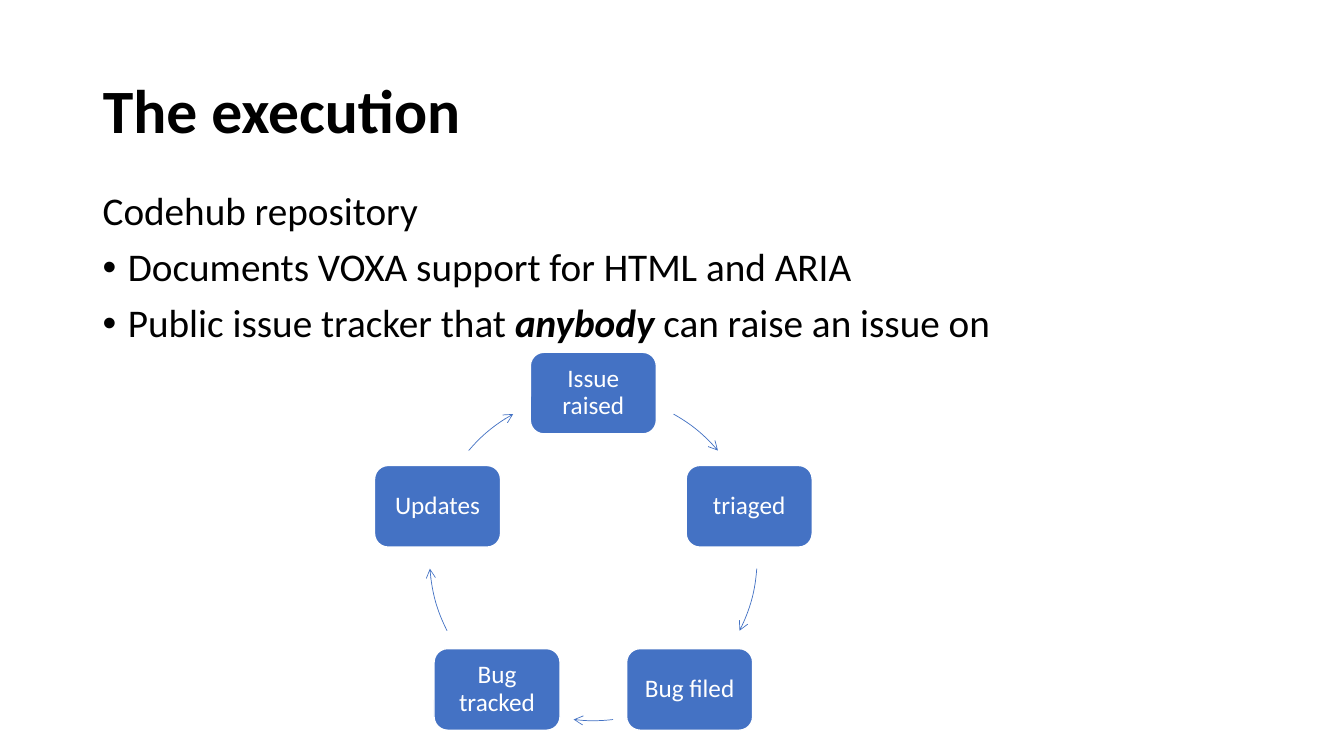
import math

import pptx
import pptx.dml.color
import pptx.enum.shapes
import pptx.enum.text
import pptx.oxml
import pptx.oxml.ns
import pptx.util
from pptx.util import Inches

BLACK = pptx.dml.color.RGBColor(0x00, 0x00, 0x00)
WHITE = pptx.dml.color.RGBColor(0xFF, 0xFF, 0xFF)
BLUE = pptx.dml.color.RGBColor(0x44, 0x72, 0xC4)
FONT = "Calibri"
NAMESPACE = pptx.oxml.ns.nsdecls("a")

STAGES = ["Issue raised", "triaged", "Bug filed", "Bug tracked", "Updates"]
ARROW_SPANS = [(29.3, 49.5), (94.1, 116.8), (173.1, 186.9), (243.2, 265.9), (310.5, 330.7)]
POINTS = [
    (False, [("Codehub repository", False)]),
    (True, [("Documents VOXA support for HTML and ARIA", False)]),
    (True, [("Public issue tracker that ", False), ("anybody ", True), ("can raise an issue on", False)]),
]


def style_paragraph(para, size, color, align, bold=None):
    """Set the alignment, line spacing and font of a paragraph."""
    para.alignment = align
    para.line_spacing = 0.9
    para.font.name = FONT
    para.font.size = pptx.util.Pt(size)
    para.font.color.rgb = color
    para.font.bold = bold


def add_bullet(para):
    """Give a paragraph a round bullet with a hanging indent."""
    properties = para._p.get_or_add_pPr()
    properties.set("marL", str(Inches(0.25)))
    properties.set("indent", str(Inches(-0.25)))
    properties.append(pptx.oxml.parse_xml(f'<a:buFont {NAMESPACE} typeface="Arial"/>'))
    properties.append(pptx.oxml.parse_xml(f'<a:buChar {NAMESPACE} char="•"/>'))


def place_title(page, left, top, width, height):
    """Move and format the title placeholder."""
    title = page.shapes.title
    title.left, title.top, title.width, title.height = map(Inches, (left, top, width, height))
    frame = title.text_frame
    frame.text = "The execution"
    frame.vertical_anchor = pptx.enum.text.MSO_ANCHOR.MIDDLE
    style_paragraph(frame.paragraphs[0], 44, BLACK, pptx.enum.text.PP_ALIGN.LEFT, True)


def add_points(page, left, top, width, height):
    """Write the introduction line and its bullets."""
    box = page.shapes.add_textbox(*map(Inches, (left, top, width, height)))
    frame = box.text_frame
    frame.word_wrap = True
    for index, (bulleted, parts) in enumerate(POINTS):
        para = frame.add_paragraph() if index else frame.paragraphs[0]
        if index:
            para.space_before = pptx.util.Pt(10)
        if bulleted:
            add_bullet(para)
        style_paragraph(para, 28, BLACK, pptx.enum.text.PP_ALIGN.LEFT)
        for text, emphasis in parts:
            span = para.add_run()
            span.text = text
            if emphasis:
                span.font.bold = span.font.italic = True


def add_stage(page, text, center_x, center_y, width=1.25, height=0.81):
    """Draw one rounded stage box around its centre."""
    stage = page.shapes.add_shape(
        pptx.enum.shapes.MSO_SHAPE.ROUNDED_RECTANGLE,
        Inches(center_x - width / 2), Inches(center_y - height / 2), Inches(width), Inches(height))
    stage.shadow.inherit = False
    stage.fill.solid()
    stage.fill.fore_color.rgb = BLUE
    stage.line.color.rgb = WHITE
    stage.line.width = pptx.util.Pt(1)
    frame = stage.text_frame
    frame.word_wrap = True
    frame.vertical_anchor = pptx.enum.text.MSO_ANCHOR.MIDDLE
    frame.margin_left = frame.margin_right = Inches(0.11)
    frame.margin_top = frame.margin_bottom = Inches(0.11)
    frame.text = text
    style_paragraph(frame.paragraphs[0], 18, WHITE, pptx.enum.text.PP_ALIGN.CENTER)


def add_arc_arrow(page, left, top, size, span):
    """Draw an arc arrow between two clockwise angles measured from the top."""
    arc = page.shapes.add_shape(
        pptx.enum.shapes.MSO_SHAPE.ARC, Inches(left), Inches(top), Inches(size), Inches(size))
    for index, angle in enumerate(span):
        arc.adjustments[index] = (angle - 90) % 360 * 0.6
    arc.shadow.inherit = False
    arc.fill.background()
    arc.line.color.rgb = BLUE
    arc.line.width = pptx.util.Pt(0.5)
    arc.line._get_or_add_ln().append(pptx.oxml.parse_xml(f'<a:tailEnd {NAMESPACE} type="arrow"/>'))


def add_cycle(page, left, top, size):
    """Place the stages and arrows evenly around a circle."""
    radius = size / 2
    for index, (text, span) in enumerate(zip(STAGES, ARROW_SPANS)):
        angle = math.radians(index * 360 / len(STAGES))
        add_stage(page, text, left + radius * (1 + math.sin(angle)), top + radius * (1 - math.cos(angle)))
        add_arc_arrow(page, left, top, size, span)


def main():
    """Build and save the deck."""
    deck = pptx.Presentation()
    deck.slide_width, deck.slide_height = Inches(13.33), Inches(7.5)
    page = deck.slides.add_slide(deck.slide_layouts.get_by_name("Title Only"))
    place_title(page, 0.92, 0.4, 11.5, 1.45)
    add_points(page, 0.92, 1.85, 9.95, 4.76)
    add_cycle(page, 4.26, 3.9, 3.25)
    deck.save("out.pptx")


if __name__ == "__main__":
    main()
